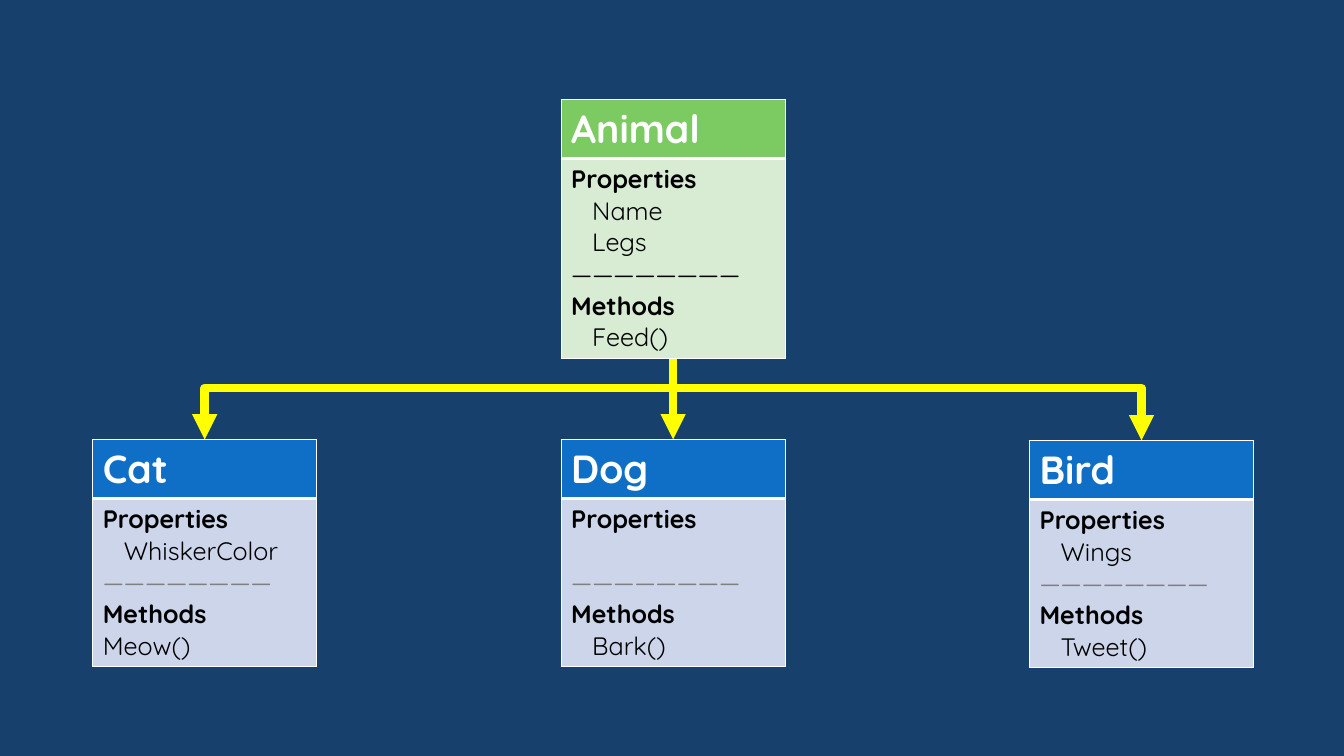
import dataclasses

import pptx
import pptx.dml.color
import pptx.enum.shapes
import pptx.oxml
import pptx.oxml.ns
import pptx.util


@dataclasses.dataclass(frozen=True)
class Theme:
    """Colours, font and point sizes of the class diagram."""
    background: str = "17406D"
    white: str = "FFFFFF"
    black: str = "000000"
    gray: str = "808080"
    arrow: str = "FFFF00"
    parent_header: str = "7CCA62"
    parent_body: str = "D7ECD3"
    child_header: str = "0F6FC6"
    child_body: str = "CCD5EA"
    font: str = "Quicksand"
    title_size: float = 28
    body_size: float = 18
    line_height: float = 22.5
    member_indent: float = 15
    arrow_width: float = 6
    border: float = 1
    header_border: float = 3


@dataclasses.dataclass(frozen=True)
class Box:
    """A card's place in hundredths of the slide's width and height."""
    left: float
    top: float
    width: float
    header: float
    body: float

    @property
    def center(self):
        """Return the horizontal middle."""
        return self.left + self.width / 2

    @property
    def bottom(self):
        """Return the lower edge."""
        return self.top + self.header + self.body


THEME = Theme()
WIDTH = pptx.util.Inches(13.33)
HEIGHT = pptx.util.Inches(7.5)
DIVIDER = "\u2014" * 8
CARD_WIDTH = 16.67
HEADER_HEIGHT = 7.75
FIRST_LEFT = 6.9
COLUMN_PITCH = 34.85
CHILD_TOP = 58.13
BRANCH_LEVEL = 51.33


def across(share):
    """Turn hundredths of the slide's width into a length."""
    return pptx.util.Emu(round(WIDTH * share / 100))


def down(share):
    """Turn hundredths of the slide's height into a length."""
    return pptx.util.Emu(round(HEIGHT * share / 100))


def rgb(color):
    """Return a colour object for a hex string."""
    return pptx.dml.color.RGBColor.from_string(color)


def element(markup):
    """Parse one drawing element given without its namespace."""
    tag, _, attributes = markup.partition(" ")
    namespace = pptx.oxml.ns.nsdecls("a")
    return pptx.oxml.parse_xml(f"<a:{tag} {namespace} {attributes}/>")


def style_text(paragraph, size, color, bold):
    """Format every run of a paragraph."""
    for run in paragraph.runs:
        run.font.name = THEME.font
        run.font.size = pptx.util.Pt(size)
        run.font.bold = bold
        run.font.color.rgb = rgb(color)


def style_cell(cell, color, top, bottom):
    """Fill a cell and draw its four borders."""
    cell.fill.solid()
    cell.fill.fore_color.rgb = rgb(color)
    properties = cell._tc.get_or_add_tcPr()
    sides = {"L": THEME.border, "R": THEME.border, "T": top, "B": bottom}
    for position, (side, width) in enumerate(sides.items()):
        border = element(f'ln{side} w="{pptx.util.Pt(width)}"')
        fill = element("solidFill")
        fill.append(element(f'srgbClr val="{THEME.white}"'))
        border.append(fill)
        properties.insert(position, border)


def add_card(slide, box, name, members, methods, colors, divider_color,
             method_indent=THEME.member_indent):
    """Place a class card with its name, properties and methods."""
    table = slide.shapes.add_table(
        2, 1, across(box.left), down(box.top),
        across(box.width), down(box.header + box.body)).table
    table.first_row = table.horz_banding = False
    table.rows[0].height = down(box.header)
    table.rows[1].height = down(box.body)
    header, body = table.cell(0, 0), table.cell(1, 0)
    style_cell(header, colors[0], THEME.border, THEME.header_border)
    style_cell(body, colors[1], THEME.header_border, THEME.border)

    header.text_frame.text = name
    style_text(header.text_frame.paragraphs[0], THEME.title_size, THEME.white, True)

    indent = THEME.member_indent
    lines = [("Properties", True, THEME.black, 0)]
    lines += [(member, False, THEME.black, indent) for member in members]
    lines += [(DIVIDER, False, divider_color, 0), ("Methods", True, THEME.black, 0)]
    lines += [(method, False, THEME.black, method_indent) for method in methods]
    body.text_frame.text = "\n".join(line[0] for line in lines)
    for paragraph, (text, bold, color, left) in zip(body.text_frame.paragraphs, lines):
        style_text(paragraph, THEME.body_size, color, bold)
        paragraph._p.get_or_add_pPr().set("marL", str(pptx.util.Pt(left)))
        if text == DIVIDER and not members:
            paragraph.space_before = pptx.util.Pt(THEME.line_height)


def add_arrow(slide, start, end):
    """Draw a straight arrow, or one that runs sideways and then down."""
    straight = start[0] == end[0]
    kinds = pptx.enum.shapes.MSO_CONNECTOR
    connector = slide.shapes.add_connector(
        kinds.STRAIGHT if straight else kinds.ELBOW,
        across(start[0]), down(start[1]), across(end[0]), down(end[1]))
    properties = connector._element.spPr
    if not straight:
        properties.find(pptx.oxml.ns.qn("a:prstGeom")).set("prst", "bentConnector2")
    connector.line.color.rgb = rgb(THEME.arrow)
    connector.line.width = pptx.util.Pt(THEME.arrow_width)
    line = connector.line._get_or_add_ln()
    line.append(element("round"))
    line.append(element('tailEnd type="triangle"'))
    properties.append(element("effectLst"))


def add_branches(slide, parent, children):
    """Connect the parent card to each child card."""
    cat, dog, bird = children
    add_arrow(slide, (parent.center, parent.bottom), (dog.center, dog.top))
    add_arrow(slide, (57.54, BRANCH_LEVEL), (cat.center, cat.top))
    add_arrow(slide, (49.2, BRANCH_LEVEL), (bird.center, bird.top))


def build_hierarchy(slide):
    """Build the inheritance diagram of one parent and three children."""
    slide.background.fill.solid()
    slide.background.fill.fore_color.rgb = rgb(THEME.background)
    parent = Box(FIRST_LEFT + COLUMN_PITCH, 13.16, CARD_WIDTH, HEADER_HEIGHT, 26.4)
    children = [
        Box(FIRST_LEFT + column * COLUMN_PITCH, CHILD_TOP + drop,
            CARD_WIDTH, HEADER_HEIGHT, 22.25)
        for column, drop in enumerate((0, 0, 0.14))]
    add_branches(slide, parent, children)
    child_colors = (THEME.child_header, THEME.child_body)
    classes = [("Cat", ["WhiskerColor"], "Meow()", 0),
               ("Dog", [], "Bark()", THEME.member_indent),
               ("Bird", ["Wings"], "Tweet()", THEME.member_indent)]
    for box, (name, members, method, indent) in zip(children, classes):
        add_card(slide, box, name, members, [method], child_colors, THEME.gray, indent)
    add_card(slide, parent, "Animal", ["Name", "Legs"], ["Feed()"],
             (THEME.parent_header, THEME.parent_body), THEME.black)


def main():
    """Create and save the presentation."""
    presentation = pptx.Presentation()
    presentation.slide_width, presentation.slide_height = WIDTH, HEIGHT
    build_hierarchy(presentation.slides.add_slide(presentation.slide_layouts[6]))
    presentation.save("out.pptx")


main()
